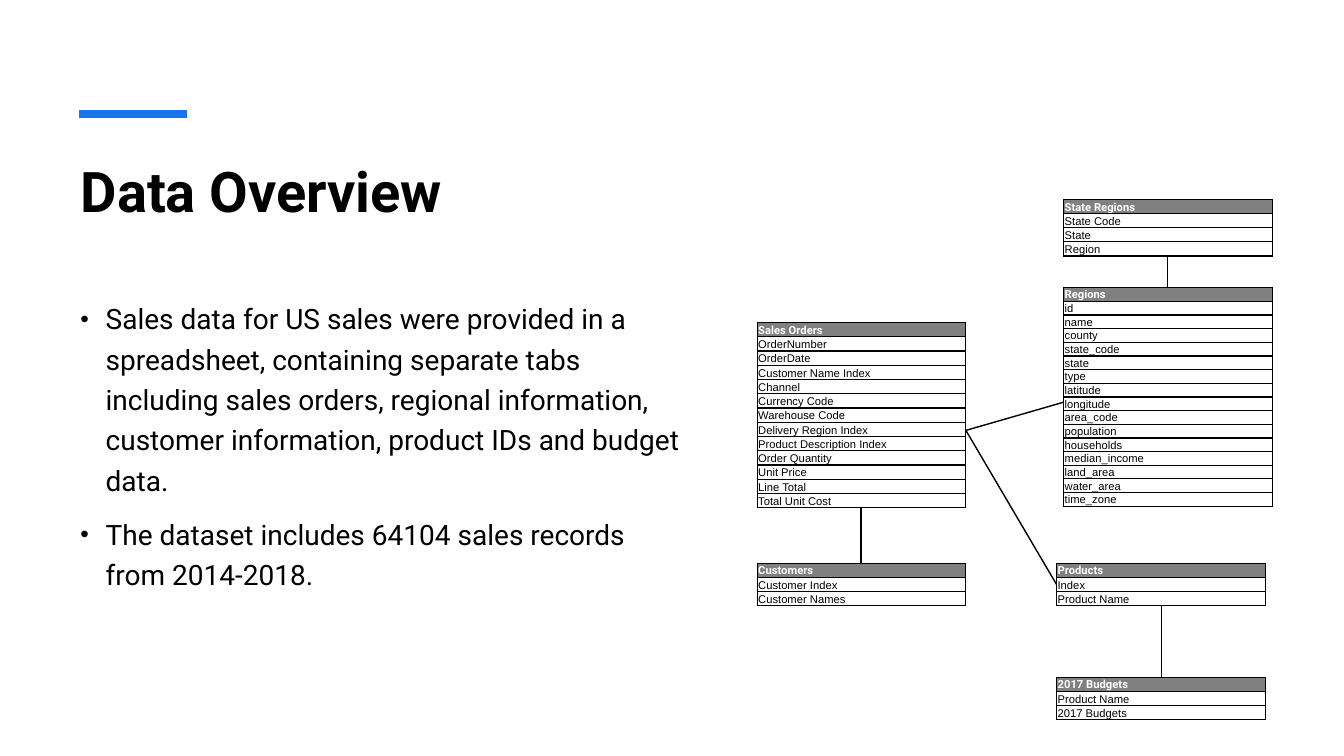
from dataclasses import dataclass

from lxml import etree
from pptx import Presentation
from pptx.dml.color import RGBColor
from pptx.enum.shapes import MSO_CONNECTOR
from pptx.enum.text import MSO_ANCHOR, MSO_AUTO_SIZE, PP_ALIGN
from pptx.oxml.ns import qn
from pptx.util import Inches, Pt

STRAIGHT = MSO_CONNECTOR.STRAIGHT
TOP, BOTTOM = MSO_ANCHOR.TOP, MSO_ANCHOR.BOTTOM
LEFT = PP_ALIGN.LEFT
NO_AUTOFIT = MSO_AUTO_SIZE.NONE
TITLE_ONLY = 5


@dataclass(frozen=True)
class Theme:
    black: str = "000000"
    white: str = "FFFFFF"
    accent: str = "1973EB"
    header: str = "808080"
    main_font: str = "Roboto"
    field_font: str = "Arial"
    title_size: float = 40
    body_size: float = 20
    table_size: float = 8
    line_width: float = 1
    accent_width: float = 6


@dataclass(frozen=True)
class Entity:
    name: str
    left: float
    top: float
    height: float
    fields: tuple[str, ...]


@dataclass(frozen=True)
class Link:
    start: tuple[float, float]
    end: tuple[float, float]


THEME = Theme()
ENTITY_WIDTH = 2.07

BULLETS = (
    "Sales data for US sales were provided in a spreadsheet, containing separate tabs "
    "including sales orders, regional information, customer information, product IDs "
    "and budget data.",
    "The dataset includes 64104 sales records from 2014-2018.",
)

ENTITIES = (
    Entity("Sales Orders", 7.51, 3.2, 1.84, (
        "OrderNumber", "OrderDate", "Customer Name Index", "Channel", "Currency Code",
        "Warehouse Code", "Delivery Region Index", "Product Description Index",
        "Order Quantity", "Unit Price", "Line Total", "Total Unit Cost")),
    Entity("Customers", 7.51, 5.59, 0.42, ("Customer Index", "Customer Names")),
    Entity("Regions", 10.55, 2.85, 2.16, (
        "id", "name", "county", "state_code", "state", "type", "latitude", "longitude",
        "area_code", "population", "households", "median_income", "land_area",
        "water_area", "time_zone")),
    Entity("State Regions", 10.55, 1.98, 0.56, ("State Code", "State", "Region")),
    Entity("Products", 10.48, 5.59, 0.42, ("Index", "Product Name")),
    Entity("2017 Budgets", 10.48, 6.72, 0.42, ("Product Name", "2017 Budgets")),
)

LINKS = (
    Link((11.52, 6.01), (11.52, 6.72)),
    Link((11.58, 2.55), (11.58, 2.85)),
    Link((8.54, 5.59), (8.54, 5.04)),
    Link((10.55, 3.99), (9.58, 4.27)),
    Link((9.58, 4.27), (10.48, 5.8)),
)


def apply_format(target, values: dict) -> None:
    for name, value in values.items():
        setattr(target, name, value)


def write_span(para, text: str, font: str, size: float, color: str, bold: bool = False) -> None:
    span = para.add_run()
    span.text = text
    apply_format(span.font, {"name": font, "size": Pt(size), "bold": bold})
    span.font.color.rgb = RGBColor.from_string(color)


def place_frame(shape, left: float, top: float, width: float, height: float) -> None:
    apply_format(shape, {"left": Inches(left), "top": Inches(top),
                         "width": Inches(width), "height": Inches(height)})
    apply_format(shape.text_frame, {"word_wrap": True, "auto_size": NO_AUTOFIT,
                                    "vertical_anchor": TOP})


def add_bullet_mark(para) -> None:
    properties = para._p.get_or_add_pPr()
    properties.set("marL", str(Inches(0.25)))
    properties.set("indent", str(-Inches(0.25)))
    for tag, key, value in (("a:buSzPct", "val", "87000"),
                            ("a:buFont", "typeface", THEME.field_font),
                            ("a:buChar", "char", "•")):
        etree.SubElement(properties, qn(tag)).set(key, value)


def add_line(page, link: Link, color: str, width: float) -> None:
    ends = [Inches(value) for value in link.start + link.end]
    line = page.shapes.add_connector(STRAIGHT, *ends)
    line.line.color.rgb = RGBColor.from_string(color)
    line.line.width = Pt(width)
    etree.SubElement(line._element.spPr, qn("a:effectLst"))


def add_borders(cell) -> None:
    properties = cell._tc.get_or_add_tcPr()
    for position, side in enumerate(("a:lnL", "a:lnR", "a:lnT", "a:lnB")):
        border = etree.Element(qn(side), w=str(Pt(THEME.line_width)))
        fill = etree.SubElement(border, qn("a:solidFill"))
        etree.SubElement(fill, qn("a:srgbClr")).set("val", THEME.black)
        properties.insert(position, border)


def add_entity(page, entity: Entity) -> None:
    labels = (entity.name,) + entity.fields
    frame = page.shapes.add_table(len(labels), 1, Inches(entity.left), Inches(entity.top),
                                  Inches(ENTITY_WIDTH), Inches(entity.height))
    apply_format(frame.table, {"first_row": False, "horz_banding": False})
    for row, label in enumerate(labels):
        is_header = row == 0
        cell = frame.table.cell(row, 0)
        apply_format(cell, {"margin_left": Inches(0.01), "margin_top": Inches(0.01),
                            "margin_right": Inches(0.01), "margin_bottom": 0,
                            "vertical_anchor": BOTTOM})
        cell.fill.solid()
        cell.fill.fore_color.rgb = RGBColor.from_string(
            THEME.header if is_header else THEME.white)
        add_borders(cell)
        write_span(cell.text_frame.paragraphs[0], label,
                   THEME.main_font if is_header else THEME.field_font, THEME.table_size,
                   THEME.white if is_header else THEME.black, is_header)


def main() -> None:
    deck = Presentation()
    apply_format(deck, {"slide_width": Inches(13.33), "slide_height": Inches(7.5)})
    page = deck.slides.add_slide(deck.slide_layouts[TITLE_ONLY])

    # Accent bar and title
    add_line(page, Link((0.78, 1.13), (1.85, 1.13)), THEME.accent, THEME.accent_width)
    title = page.shapes.title
    place_frame(title, 0.7, 1.5, 11.91, 1.2)
    para = title.text_frame.paragraphs[0]
    para.alignment = LEFT
    write_span(para, "Data Overview", THEME.main_font, THEME.title_size, THEME.black, True)

    # Bulleted summary
    box = page.shapes.add_textbox(0, 0, 0, 0)
    place_frame(box, 0.7, 2.88, 6.26, 3.9)
    for index, text in enumerate(BULLETS):
        para = box.text_frame.add_paragraph() if index else box.text_frame.paragraphs[0]
        apply_format(para, {"line_spacing": 1.2, "space_before": Pt(10), "alignment": LEFT})
        add_bullet_mark(para)
        write_span(para, text, THEME.main_font, THEME.body_size, THEME.black)

    # Data model: tables and their links
    for entity in ENTITIES:
        add_entity(page, entity)
    for link in LINKS:
        add_line(page, link, THEME.black, THEME.line_width)

    deck.save("out.pptx")


if __name__ == "__main__":
    main()
